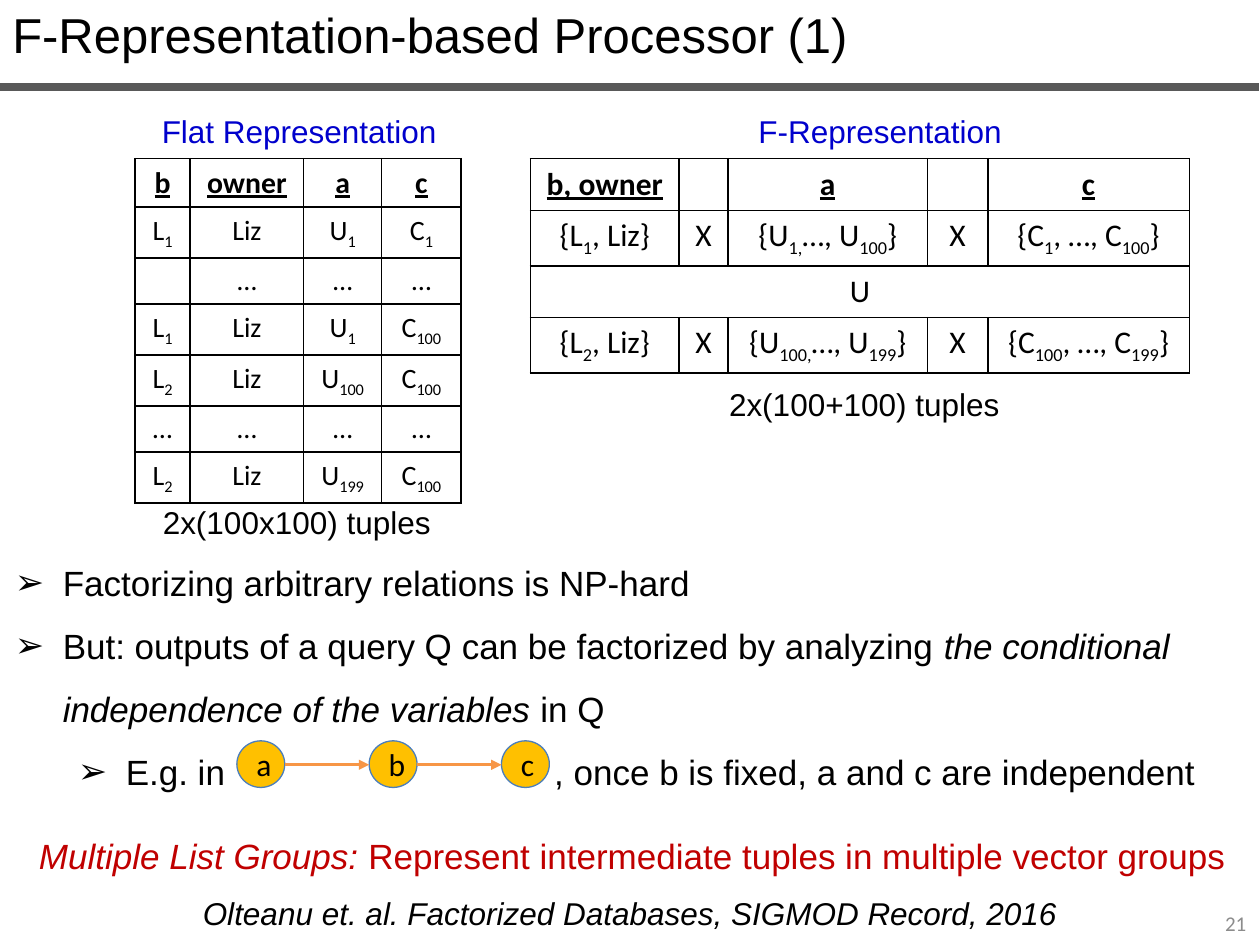
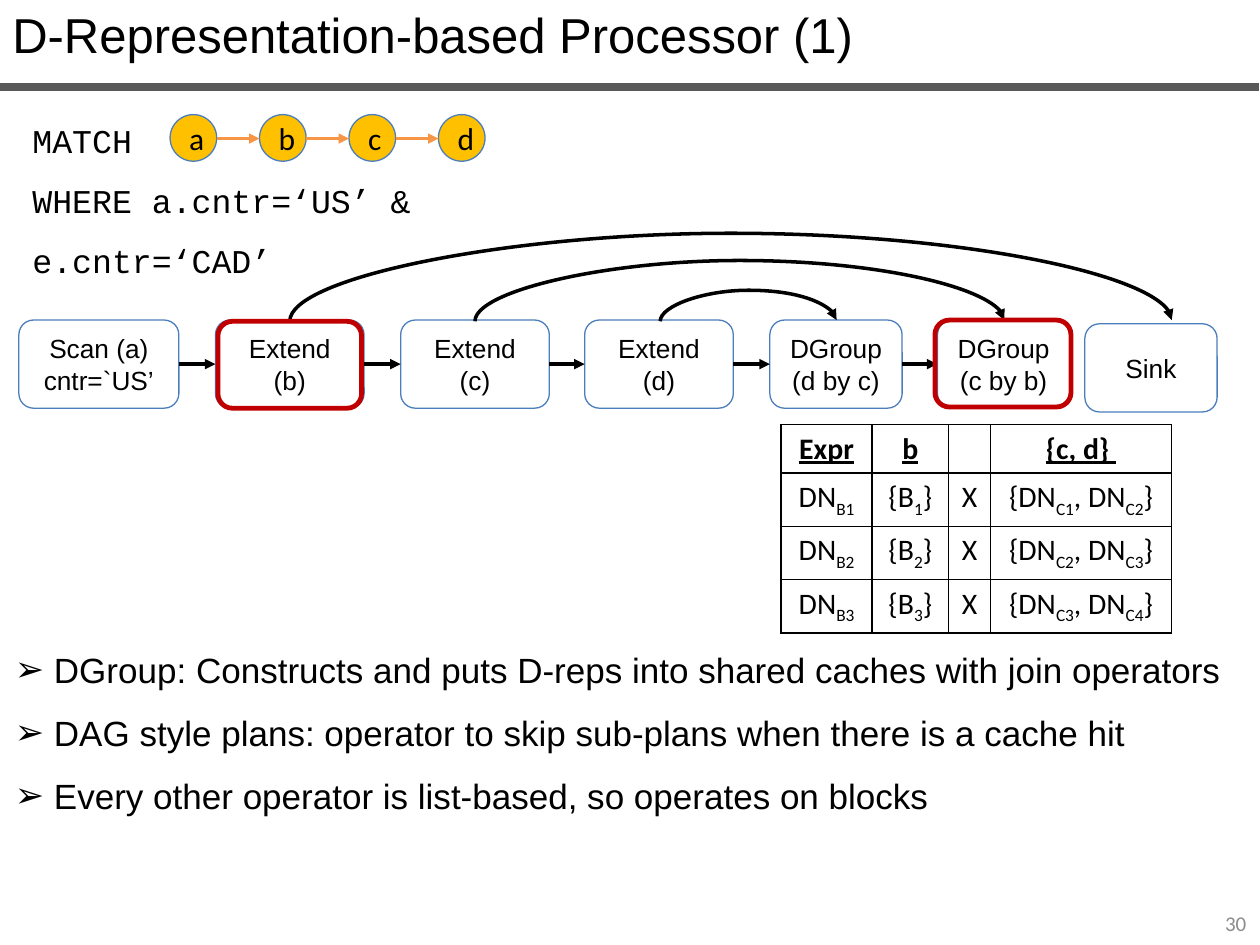
from dataclasses import dataclass
from itertools import pairwise

from lxml import etree
from pptx import Presentation
from pptx import util as u
from pptx.dml.color import RGBColor
from pptx.enum import shapes, text
from pptx.oxml.ns import qn

# Shared look
BLACK, GREY, BAND, BLUE, RED = "000000", "8C8C8C", "595959", "0000CC", "C00000"
OUTLINE, NODE, EDGE = "4B7EBC", "FFC000", "F79646"
SANS, TABLE_FONT, CODE = "Arial", "Calibri", "Courier New"
LEFT, CENTER, RIGHT = text.PP_ALIGN.LEFT, text.PP_ALIGN.CENTER, text.PP_ALIGN.RIGHT
SHAPE, LINE = shapes.MSO_SHAPE, shapes.MSO_CONNECTOR


@dataclass
class Style:
    size: float
    font: str = SANS
    color: str = BLACK
    align: int = LEFT
    spacing: float = 1.0


@dataclass
class Span:
    words: str
    italic: bool = False


@dataclass
class Bullet:
    spans: list
    margin: float
    hanging: float
    tab: float = 0


@dataclass
class Operator:
    label: str
    left: float
    width: float
    top: float = 2.54


@dataclass
class Grid:
    left: float
    top: float
    widths: list
    row_height: float
    header_size: float
    body_size: float
    rows: list


@dataclass
class Arc:
    start: float
    end: float
    rise: float


def rgb(code: str) -> RGBColor:
    return RGBColor.from_string(code)


def add_xml(parent, tag: str, **attributes):
    child = etree.SubElement(parent, qn(tag))
    for name, value in attributes.items():
        child.set(name, str(value))
    return child


def format_span(run, style: Style, italic: bool = False) -> None:
    run.font.size = u.Pt(style.size)
    run.font.name = style.font
    run.font.color.rgb = rgb(style.color)
    run.font.italic = italic


def format_frame(frame, style: Style) -> None:
    for para in frame.paragraphs:
        para.alignment = style.align
        para.line_spacing = style.spacing
        for run in para.runs:
            format_span(run, style)


def add_box(page, left: float, top: float, width: float, height: float):
    box = page.shapes.add_textbox(*map(u.Inches, (left, top, width, height)))
    box.text_frame.word_wrap = True
    return box.text_frame


def add_text(page, words: str, left: float, top: float, width: float,
             height: float, style: Style):
    frame = add_box(page, left, top, width, height)
    frame.text = words
    format_frame(frame, style)
    return frame


def add_spans(para, spans: list, style: Style) -> None:
    para.alignment = style.align
    para.line_spacing = style.spacing
    for span in spans:
        run = para.add_run()
        run.text = span.words
        format_span(run, style, span.italic)


def add_bullets(page, bullets: list, top: float, width: float, height: float) -> None:
    frame = add_box(page, 0.02, top, width, height)
    for index, bullet in enumerate(bullets):
        para = frame.add_paragraph() if index else frame.paragraphs[0]
        add_spans(para, bullet.spans, Style(20, spacing=1.5))
        props = para._p.get_or_add_pPr()
        props.set("marL", str(u.Inches(bullet.margin)))
        props.set("indent", str(-u.Inches(bullet.hanging)))
        add_xml(props, "a:buFont", typeface=SANS)
        add_xml(props, "a:buChar", char="➢")
        if bullet.tab:
            tabs = add_xml(props, "a:tabLst")
            add_xml(tabs, "a:tab", pos=u.Inches(bullet.tab), algn="l")


def add_preset(page, kind: int, left: float, top: float, width: float, height: float,
               line: str, weight: float, fill: str = ""):
    shape = page.shapes.add_shape(kind, *map(u.Inches, (left, top, width, height)))
    shape.shadow.inherit = False
    shape.line.color.rgb = rgb(line)
    shape.line.width = u.Pt(weight)
    if fill:
        shape.fill.solid()
        shape.fill.fore_color.rgb = rgb(fill)
    else:
        shape.fill.background()
    return shape


def add_line(page, x1: float, y1: float, x2: float, y2: float, color: str,
             weight: float, arrow: bool = True, kind: int = LINE.STRAIGHT):
    line = page.shapes.add_connector(kind, *map(u.Inches, (x1, y1, x2, y2)))
    line.line.color.rgb = rgb(color)
    line.line.width = u.Pt(weight)
    if arrow:
        add_xml(line.line._get_or_add_ln(), "a:tailEnd", type="triangle")
    add_xml(line._element.spPr, "a:effectLst")
    return line


def add_arc(page, arc: Arc) -> None:
    """Arched arrow: a curved connector turned by 90 degrees and flipped."""
    depth, middle = 0.01, (arc.start + arc.end) / 2
    half = (arc.end - arc.start) / 2
    line = add_line(page, middle - depth / 2, 2.545 - half, middle + depth / 2,
                    2.545 + half, BLACK, 2, kind=LINE.CURVE)
    frame = line._element.spPr.find(qn("a:xfrm"))
    for name, value in (("rot", "5400000"), ("flipH", "1"), ("flipV", "1")):
        frame.set(name, value)
    guides = line._element.spPr.find(qn("a:prstGeom")).find(qn("a:avLst"))
    add_xml(guides, "a:gd", name="adj1", fmla=f"val {round(arc.rise / depth * 100000)}")


def add_chain(page, names: str, left: float, top: float, size: float, step: float) -> None:
    """Query graph: nodes in a row, each pointing to the next."""
    lefts = [left + step * index for index in range(len(names))]
    for name, x in zip(names, lefts):
        node = add_preset(page, SHAPE.OVAL, x, top, size, 0.37, OUTLINE, 0.75, NODE)
        node.text_frame.text = name
        format_frame(node.text_frame, Style(18, TABLE_FONT, align=CENTER))
    for x, following in pairwise(lefts):
        add_line(page, x + size, top + 0.19, following, top + 0.19, EDGE, 1.5)


def fill_cell(cell, words: str, size: float, header: bool) -> None:
    """Write a cell; text between ~ marks is subscript."""
    para = cell.text_frame.paragraphs[0]
    para.alignment = CENTER
    for index, part in enumerate(words.split("~")):
        if not part:
            continue
        run = para.add_run()
        run.text = part
        format_span(run, Style(size, TABLE_FONT))
        run.font.bold = run.font.underline = header
        if index % 2:
            run.font._element.set("baseline", "-25000")
    if not words:
        para._p.get_or_add_endParaRPr().set("sz", str(round(size * 100)))


def border_cell(cell) -> None:
    props = cell._tc.get_or_add_tcPr()
    for side in ("a:lnL", "a:lnR", "a:lnT", "a:lnB"):
        edge = add_xml(props, side, w=u.Pt(1))
        add_xml(add_xml(edge, "a:solidFill"), "a:srgbClr", val=BLACK)
    cell.fill.background()


def add_grid(page, grid: Grid) -> None:
    count = len(grid.rows)
    sizes = (grid.left, grid.top, sum(grid.widths), grid.row_height * count)
    table = page.shapes.add_table(count, len(grid.widths), *map(u.Inches, sizes)).table
    table.first_row = table.horz_banding = False
    for column, width in zip(table.columns, grid.widths):
        column.width = u.Inches(width)
    for r, row in enumerate(grid.rows):
        table.rows[r].height = u.Inches(grid.row_height)
        size = grid.body_size if r else grid.header_size
        for c in range(len(grid.widths)):
            border_cell(table.cell(r, c))
            fill_cell(table.cell(r, c), row[c] if c < len(row) else "", size, r == 0)
        if len(row) == 1:
            table.cell(r, 0).merge(table.cell(r, len(grid.widths) - 1))


def add_page(deck, title: str, number: str):
    page = deck.slides.add_slide(deck.slide_layouts[6])
    add_line(page, -0.01, 0.69, 9.99, 0.69, BAND, 4.5, arrow=False)
    footer = add_text(page, number, 7.66, 7.13, 2.33, 0.4,
                      Style(12, TABLE_FONT, GREY, RIGHT))
    footer.vertical_anchor = text.MSO_ANCHOR.MIDDLE
    add_text(page, title, 0, -0.01, 9.5, 0.57, Style(28))
    return page


def build_f_representation(deck) -> None:
    page = add_page(deck, "F-Representation-based Processor (1)", "21")

    # Both tables with their captions
    dots = "…"
    add_grid(page, Grid(4.21, 1.26, [1.18, 0.39, 1.58, 0.48, 1.6], 0.41, 18, 18, [
        ["b, owner", "", "a", "", "c"],
        ["{L~1~, Liz}", "X", "{U~1,~…, U~100~}", "X", "{C~1~, …, C~100~}"],
        ["U"],
        ["{L~2~, Liz}", "X", "{U~100,~…, U~199~}", "X", "{C~100~, …, C~199~}"]]))
    add_grid(page, Grid(1.07, 1.26, [0.44, 0.9, 0.62, 0.63], 0.32, 17, 16, [
        ["b", "owner", "a", "c"],
        ["L~1~", "Liz", "U~1~", "C~1~"],
        ["", dots, dots, dots],
        ["L~1~", "Liz", "U~1~", "C~100~"],
        ["L~2~", "Liz", "U~100~", "C~100~"],
        [dots] * 4,
        ["L~2~", "Liz", "U~199~", "C~100~"]]))
    for words, left, top, width, color in (
            ("Flat Representation", 1.09, 0.69, 2.57, BLUE),
            ("F-Representation", 5.7, 0.69, 2.57, BLUE),
            ("2x(100x100) tuples", 1.07, 3.79, 2.57, BLACK),
            ("2x(100+100) tuples", 5.03, 2.86, 3.66, BLACK)):
        add_text(page, words, left, top, width, 0.5, Style(18, SANS, color, CENTER, 1.5))

    # Findings, with the example graph set in the last line
    add_bullets(page, [
        Bullet([Span("Factorizing arbitrary relations is NP-hard")], 0.38, 0.38),
        Bullet([Span("But: outputs of a query Q can be factorized by analyzing "),
                Span("the conditional independence of the variables", True),
                Span(" in Q")], 0.38, 0.38),
        Bullet([Span("E.g. in\t, once b is fixed, a and c are independent")],
               0.88, 0.38, tab=4.28)], 4.24, 9.9, 2.06)
    add_chain(page, "abc", 1.88, 5.88, 0.38, 1.05)

    # Conclusion and reference
    conclusion = add_box(page, 0.02, 6.41, 10, 0.54)
    add_spans(conclusion.paragraphs[0], [
        Span("Multiple List Groups: ", True),
        Span("Represent intermediate tuples in multiple vector groups")],
        Style(20, SANS, RED, CENTER, 1.5))
    reference = add_box(page, 0.86, 6.9, 8.28, 0.5)
    add_spans(reference.paragraphs[0], [
        Span("Olteanu et. al. Factorized Databases, SIGMOD Record, 2016", True)],
        Style(18, align=CENTER, spacing=1.5))


def build_d_representation(deck) -> None:
    page = add_page(deck, "D-Representation-based Processor (1)", "30")

    # Query
    add_text(page, "MATCH\nWHERE a.cntr=‘US’ & e.cntr=‘CAD’", 0.16, 0.75, 4.93, 1.01,
             Style(19, CODE, spacing=1.5))
    add_chain(page, "abcd", 1.35, 0.91, 0.37, 0.71)

    # Operator pipeline; the sink stands apart
    boxes = []
    for operator in (Operator("Scan (a)\ncntr=`US’", 0.15, 1.27),
                     Operator("Extend (b)", 1.71, 1.18),
                     Operator("Extend (c)", 3.18, 1.18),
                     Operator("Extend (d)", 4.64, 1.18),
                     Operator("DGroup (d by c)", 6.11, 1.05),
                     Operator("DGroup (c by b)", 7.44, 1.05),
                     Operator("Sink", 8.61, 1.05, 2.57)):
        box = add_preset(page, SHAPE.ROUNDED_RECTANGLE, operator.left, operator.top,
                         operator.width, 0.7, OUTLINE, 0.75)
        box.text_frame.text = operator.label
        format_frame(box.text_frame, Style(15, align=CENTER))
        boxes.append(box)
    for source, target in pairwise(boxes[:-1]):
        flow = add_line(page, 0, 2.89, 1, 2.89, BLACK, 2)
        flow.begin_connect(source, 3)
        flow.end_connect(target, 1)

    # Skips over sub-plans, and the highlighted operators
    for arc in (Arc(5.24, 6.64, 0.25), Arc(3.77, 7.97, 0.49), Arc(2.3, 9.3, 0.71)):
        add_arc(page, arc)
    for left, top, width in ((1.73, 2.55, 1.14), (7.42, 2.54, 1.08)):
        add_preset(page, SHAPE.ROUNDED_RECTANGLE, left, top, width, 0.69, RED, 2.75)

    # Takeaways and cache table
    add_bullets(page, [Bullet([Span(words)], 0.31, 0.31) for words in (
        "DGroup: Constructs and puts D-reps into shared caches with join operators",
        "DAG style plans: operator to skip sub-plans when there is a cache hit",
        "Every other operator is list-based, so operates on blocks")], 4.93, 9.97, 1.55)
    add_grid(page, Grid(6.2, 3.37, [0.72, 0.61, 0.33, 1.44], 0.21, 17, 17, [
        ["Expr", "b", "", "{c, d} "],
        *([f"DN~B{n}~", f"{{B~{n}~}}", "X", f"{{DN~C{n}~, DN~C{n + 1}~}}"]
          for n in (1, 2, 3))]))


def main() -> None:
    deck = Presentation()
    deck.slide_width, deck.slide_height = u.Inches(10), u.Inches(7.5)
    build_f_representation(deck)
    build_d_representation(deck)
    deck.save("out.pptx")


if __name__ == "__main__":
    main()
